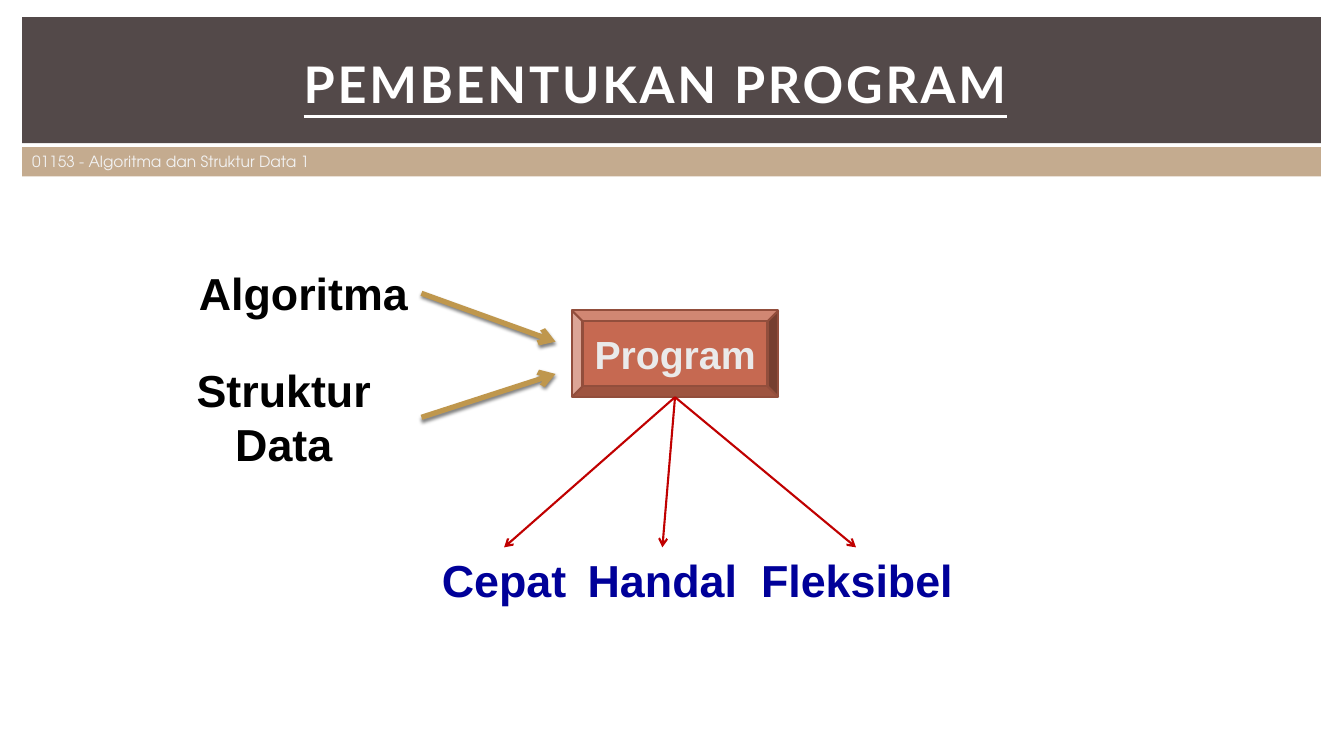
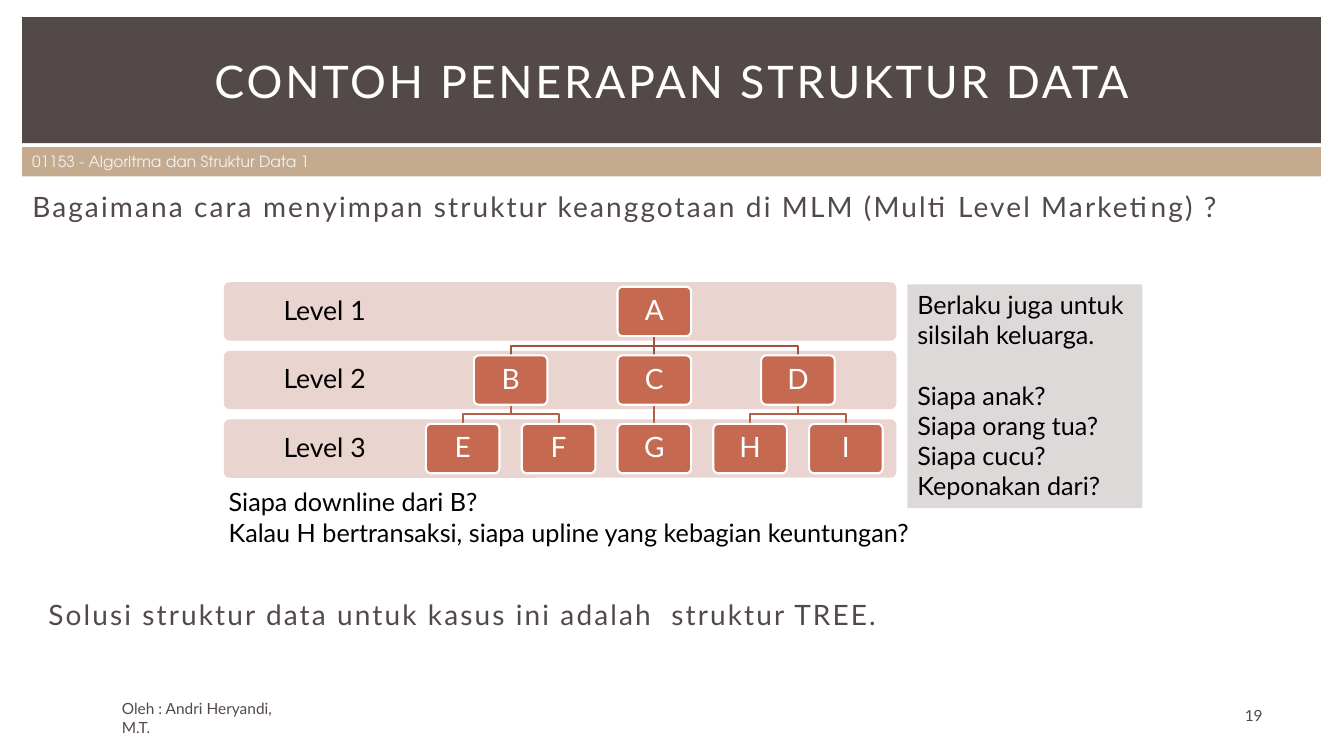
from lxml.etree import SubElement
from pptx import Presentation
from pptx.dml.color import RGBColor
from pptx.enum.shapes import MSO_CONNECTOR as Connector, MSO_SHAPE as Shape
from pptx.enum.text import MSO_ANCHOR as Anchor, PP_ALIGN as Align
from pptx.oxml.ns import qn
from pptx.util import Inches, Pt

WHITE = RGBColor(0xFF, 0xFF, 0xFF)
BLACK = RGBColor(0x00, 0x00, 0x00)
BROWN = RGBColor(0x53, 0x49, 0x49)
TAN = RGBColor(0xC4, 0xAB, 0x8F)
PALE = RGBColor(0xF2, 0xF2, 0xF2)
BRICK = RGBColor(0xC6, 0x69, 0x51)
BRICK_EDGE = RGBColor(0x92, 0x4E, 0x3C)
LIGHT_GREY = RGBColor(0xEA, 0xEA, 0xEA)
GOLD = RGBColor(0xBF, 0x97, 0x4D)
NAVY = RGBColor(0x00, 0x00, 0x99)
RED = RGBColor(0xC0, 0x00, 0x00)
ROSE = RGBColor(0xEA, 0xD4, 0xD0)
NOTE_GREY = RGBColor(0xDE, 0xD9, 0xD9)
BRANCHES = [RGBColor(0x9F, 0x54, 0x41), RGBColor(0xB4, 0x5F, 0x4A)]

LATO = {"name": "Lato"}
ARIAL = {"name": "Arial", "bold": True}
TITLE = {**LATO, "size": Pt(32), "color": WHITE, "spacing": 2}
COURSE = {"name": "TeX Gyre Adventor", "size": Pt(11), "color": PALE}
BODY = {**LATO, "size": Pt(20), "color": BROWN, "spacing": 1.5}
FOOTER = {**LATO, "size": Pt(11), "color": BROWN}
NOTE = {**LATO, "size": Pt(18), "color": BLACK}
LEVEL = {**LATO, "size": Pt(19), "color": BLACK}
NODE = {**LATO, "size": Pt(20), "color": WHITE}
SOURCE = {**ARIAL, "size": Pt(32), "color": BLACK}
QUALITY = {**SOURCE, "color": NAVY}
PROGRAM = {**ARIAL, "size": Pt(28), "color": LIGHT_GREY}


def write(shape, lines, style, align=Align.LEFT, anchor=Anchor.TOP,
          line_spacing=None, **margins):
    frame = shape.text_frame
    frame.word_wrap = True
    frame.vertical_anchor = anchor
    for side, size in margins.items():
        setattr(frame, f"margin_{side}", Inches(size))
    for index, line in enumerate(lines):
        para = frame.add_paragraph() if index else frame.paragraphs[0]
        para.alignment = align
        if line_spacing:
            para.line_spacing = line_spacing
        span = para.add_run()
        span.text = line
        for key, value in style.items():
            if key == "color":
                span.font.color.rgb = value
            elif key == "spacing":
                span.font._element.set("spc", str(int(value * 100)))
            else:
                setattr(span.font, key, value)
    return frame


def add_text(page, box, lines, style, **layout):
    shape = page.shapes.add_textbox(*map(Inches, box))
    return write(shape, lines, style, **layout)


def add_block(page, kind, box, fill, edge=None, corner=None):
    shape = page.shapes.add_shape(kind, *map(Inches, box))
    shape.shadow.inherit = False
    shape.fill.solid()
    shape.fill.fore_color.rgb = fill
    if edge:
        shape.line.color.rgb = edge
        shape.line.width = Pt(1.5)
    else:
        shape.line.fill.background()
    if corner:
        shape.adjustments[0] = corner
    return shape


def add_line(page, start, end, color, width=1.5, arrow=False, shadow=False):
    line = page.shapes.add_connector(
        Connector.STRAIGHT, *map(Inches, (*start, *end)))
    line.line.color.rgb = color
    line.line.width = Pt(width)
    if arrow:
        SubElement(line.line._get_or_add_ln(), qn("a:tailEnd"), type="arrow")
    effects = SubElement(line._element.spPr, qn("a:effectLst"))
    if shadow:
        outer = SubElement(effects, qn("a:outerShdw"), blurRad=str(Pt(2.5)),
                           dist=str(Pt(2)), dir="5400000", rotWithShape="0")
        tint = SubElement(outer, qn("a:srgbClr"), val="000000")
        SubElement(tint, qn("a:alpha"), val="50000")


def add_page(deck, title, title_box, **title_format):
    page = deck.slides.add_slide(deck.slide_layouts[6])
    add_block(page, Shape.RECTANGLE, (0.22, 0.17, 12.88, 1.25), BROWN)
    course = add_block(page, Shape.RECTANGLE, (0.22, 1.46, 12.88, 0.29), TAN)
    write(course, ["01153 - Algoritma dan Struktur Data 1"], COURSE)
    add_text(page, title_box, [title], {**TITLE, **title_format},
             align=Align.CENTER, anchor=Anchor.MIDDLE)
    return page


def add_sources(page, left, top, target):
    right = left + 2.73
    add_text(page, (left + 0.39, top, 2.34, 0.64), ["Algoritma"], SOURCE,
             align=Align.CENTER)
    add_text(page, (left, top + 0.96, 2.73, 1.18), ["Struktur Data"], SOURCE,
             align=Align.CENTER)
    for start, end in ((0.32, 0.8), (1.55, 1.12)):
        add_line(page, (right, top + start), (target - 0.16, top + end),
                 GOLD, width=3.75, arrow=True, shadow=True)


def add_program(page, box):
    block = add_block(page, Shape.BEVEL, box, BRICK, BRICK_EDGE)
    write(block, ["Program"], PROGRAM, align=Align.CENTER,
          anchor=Anchor.MIDDLE, left=0, right=0)


def add_qualities(page, origin, top):
    for name, left, width, tip in (("Cepat", 4.1, 1.8, 5),
                                   ("Handal", 5.67, 1.8, 6.57),
                                   ("Fleksibel", 7.39, 2.22, 8.49)):
        add_text(page, (left, top, width, 0.64), [name], QUALITY,
                 align=Align.CENTER)
        add_line(page, origin, (tip, top), RED, arrow=True)


def add_branch(page, start, end, color):
    if start[0] == end[0]:
        add_line(page, start, end, color)
        return
    middle = (start[1] + end[1]) / 2
    points = [start, (start[0], middle), (end[0], middle), end]
    first, *rest = [tuple(map(Inches, point)) for point in points]
    builder = page.shapes.build_freeform(*first)
    builder.add_line_segments(rest, close=False)
    branch = builder.convert_to_shape()
    branch.shadow.inherit = False
    branch.fill.background()
    branch.line.color.rgb = color
    branch.line.width = Pt(1.5)


def add_tree(page, left, top):
    pitch, band, width, height = 0.68, 0.58, 0.73, 0.49
    children = {"A": "BCD", "B": "EF", "C": "G", "D": "HI"}
    rows = ["A", "BCD", "EFGHI"]
    column = {name: index for index, name in enumerate(rows[-1])}
    for name in "BCDA":
        below = [column[child] for child in children[name]]
        column[name] = sum(below) / len(below)

    def center(name):
        return left + 2.37 + 0.95 * column[name]

    def node_top(row):
        return top + row * pitch + (band - height) / 2

    for row in range(len(rows)):
        y = top + row * pitch
        add_block(page, Shape.ROUNDED_RECTANGLE, (left, y, 6.67, band), ROSE,
                  corner=0.1)
        add_text(page, (left, y, 2, band), [f"Level {row + 1}"], LEVEL,
                 align=Align.CENTER, anchor=Anchor.MIDDLE, line_spacing=0.9)
    for row, names in enumerate(rows):
        for name in names:
            for child in children.get(name, ""):
                add_branch(page, (center(name), node_top(row) + height),
                           (center(child), node_top(row + 1)), BRANCHES[row])
            box = (center(name) - width / 2, node_top(row), width, height)
            node = add_block(page, Shape.ROUNDED_RECTANGLE, box, BRICK, WHITE,
                             corner=0.1)
            write(node, [name], NODE, align=Align.CENTER,
                  anchor=Anchor.MIDDLE, line_spacing=0.9,
                  left=0.08, right=0.08, top=0.08, bottom=0.08)


def add_family_note(page, box):
    note = add_block(page, Shape.RECTANGLE, box, NOTE_GREY)
    frame = write(note, ["Berlaku juga untuk silsilah keluarga.",
                         "Siapa anak?", "Siapa orang tua?", "Siapa cucu?",
                         "Keponakan dari?"], NOTE)
    frame.paragraphs[1].space_before = Pt(21.6)


def add_footer(page, number):
    add_text(page, (1.11, 6.97, 1.97, 0.3), ["Oleh : Andri Heryandi, M.T."],
             FOOTER, anchor=Anchor.MIDDLE)
    add_text(page, (12.01, 6.95, 0.85, 0.3), [number], FOOTER,
             align=Align.CENTER, anchor=Anchor.MIDDLE)


def build_program_page(deck):
    page = add_page(deck, "PEMBENTUKAN PROGRAM", (2, 0.52, 9, 0.62),
                    size=Pt(36), bold=True, underline=True)
    left, top, width, height = box = (5.67, 3.08, 2.05, 0.86)
    add_program(page, box)
    add_sources(page, 1.45, 2.59, left)
    add_qualities(page, (left + width / 2, top + height), 5.43)


def build_tree_page(deck):
    page = add_page(deck, "CONTOH PENERAPAN STRUKTUR DATA",
                    (0.5, 0.33, 12.33, 0.94))
    add_text(page, (0.17, 1.83, 12.92, 0.6),
             ["Bagaimana cara menyimpan struktur keanggotaan di MLM "
              "(Multi Level Marketing) ?"], BODY, left=0.15)
    add_tree(page, 2.22, 2.8)
    add_family_note(page, (9, 2.82, 2.33, 2.22))
    add_text(page, (2.17, 4.78, 7.67, 1.01),
             ["Siapa downline dari B?",
              "Kalau H bertransaksi, siapa upline yang kebagian keuntungan?"],
             NOTE)
    add_text(page, (0.33, 5.88, 9.19, 0.97),
             ["Solusi struktur data untuk kasus ini adalah  struktur TREE."],
             BODY, left=0.15)
    add_footer(page, "19")


deck = Presentation()
deck.slide_width = Inches(13.33)
deck.slide_height = Inches(7.5)
build_program_page(deck)
build_tree_page(deck)
deck.save("out.pptx")
